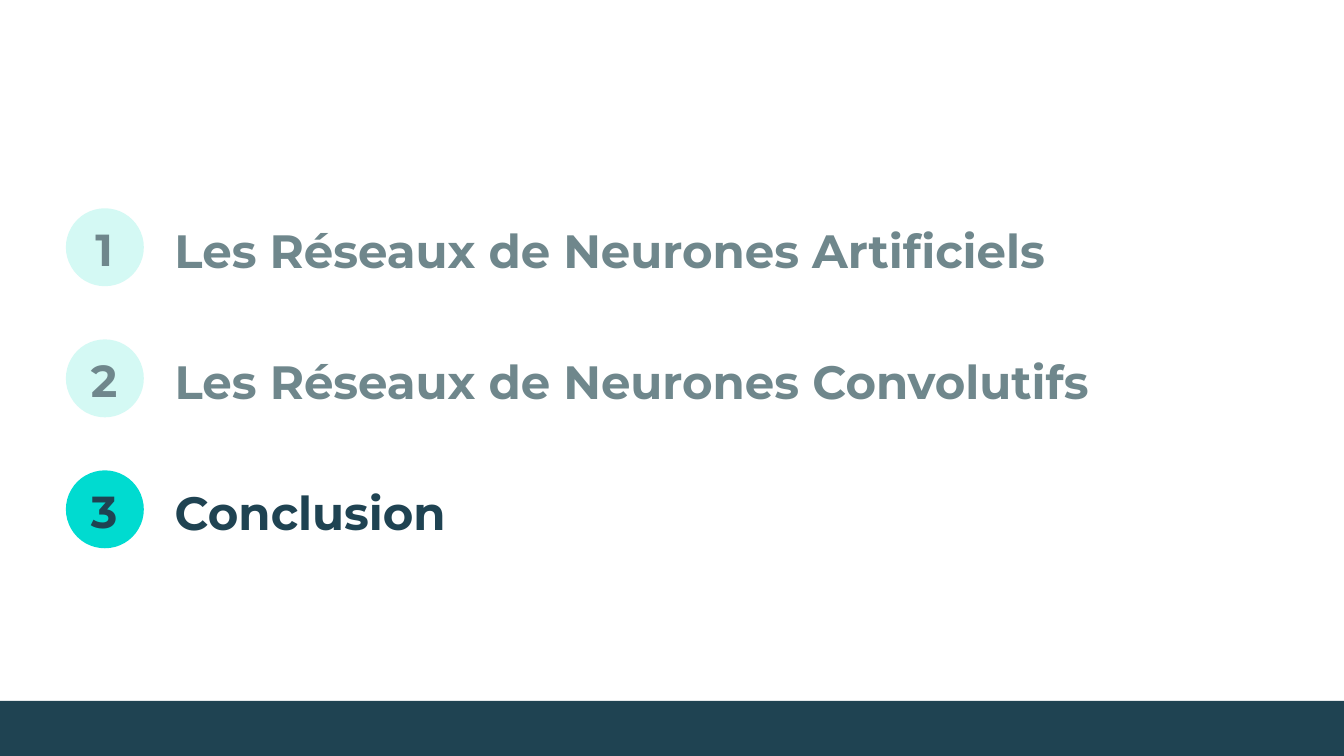
from pptx import Presentation, util as u
from pptx.dml.color import RGBColor
from pptx.enum import shapes, text

WIDTH = 10
HEIGHT = WIDTH * 9 / 16
FONT = "Montserrat"
NAVY, TEAL = "1F4352", "00DBD0"
MUTED_TEXT, MUTED_TEAL = "6F878C", "D4F9F4"
SECTIONS = [
    ("Les Réseaux de Neurones Artificiels", 7.07),
    ("Les Réseaux de Neurones Convolutifs", 7.71),
    ("Conclusion", 7.38),
]
CURRENT = 2


def rgb(code):
    return RGBColor.from_string(code)


def inches(*lengths):
    return [u.Inches(length) for length in lengths]


def add_filled(slide, preset, box, colour):
    area = slide.shapes.add_shape(preset, *inches(*box))
    area.shadow.inherit = False
    area.fill.solid()
    area.fill.fore_color.rgb = rgb(colour)
    area.line.fill.background()


def write(holder, box, words, size, colour, align):
    holder.left, holder.top, holder.width, holder.height = inches(*box)
    frame = holder.text_frame
    frame.text = words
    frame.word_wrap = True
    frame.auto_size = text.MSO_AUTO_SIZE.NONE
    frame.vertical_anchor = text.MSO_ANCHOR.TOP
    frame.margin_left = frame.margin_right = u.Inches(0.1)
    frame.margin_top = frame.margin_bottom = u.Inches(0.1)
    paragraph = frame.paragraphs[0]
    paragraph.alignment = align
    for run in paragraph.runs:
        run.font.name = FONT
        run.font.size = u.Pt(size)
        run.font.bold = True
        run.font.color.rgb = rgb(colour)


def add_section(slide, box, number, heading, active):
    left, top, width, badge = box
    ink, accent = (NAVY, TEAL) if active else (MUTED_TEXT, MUTED_TEAL)
    add_filled(slide, shapes.MSO_SHAPE.OVAL, (left, top, badge, badge), accent)
    indent = 0.71
    label = slide.shapes.title if active else slide.shapes.add_textbox(0, 0, 0, 0)
    write(label, (left + indent, top, width, badge),
          heading, 25, ink, text.PP_ALIGN.LEFT)
    write(slide.shapes.add_textbox(0, 0, 0, 0),
          (left - 0.03, top, badge + 0.05, 0.41),
          str(number), 24, ink, text.PP_ALIGN.CENTER)


def add_agenda(slide, box):
    left, top, height = box
    badge = 0.58
    pitch = (height - badge) / (len(SECTIONS) - 1)
    for index, (heading, width) in enumerate(SECTIONS):
        add_section(slide, (left, top + index * pitch, width, badge),
                    index + 1, heading, index == CURRENT)


def add_footer(slide, box):
    add_filled(slide, shapes.MSO_SHAPE.RECTANGLE, box, NAVY)


def main():
    deck = Presentation()
    deck.slide_width, deck.slide_height = inches(WIDTH, HEIGHT)
    slide = deck.slides.add_slide(deck.slide_layouts.get_by_name("Title Only"))
    add_agenda(slide, (0.49, 1.55, 2.53))
    footer = 0.41
    add_footer(slide, (0, HEIGHT - footer, WIDTH, footer))
    deck.save("out.pptx")


if __name__ == "__main__":
    main()
